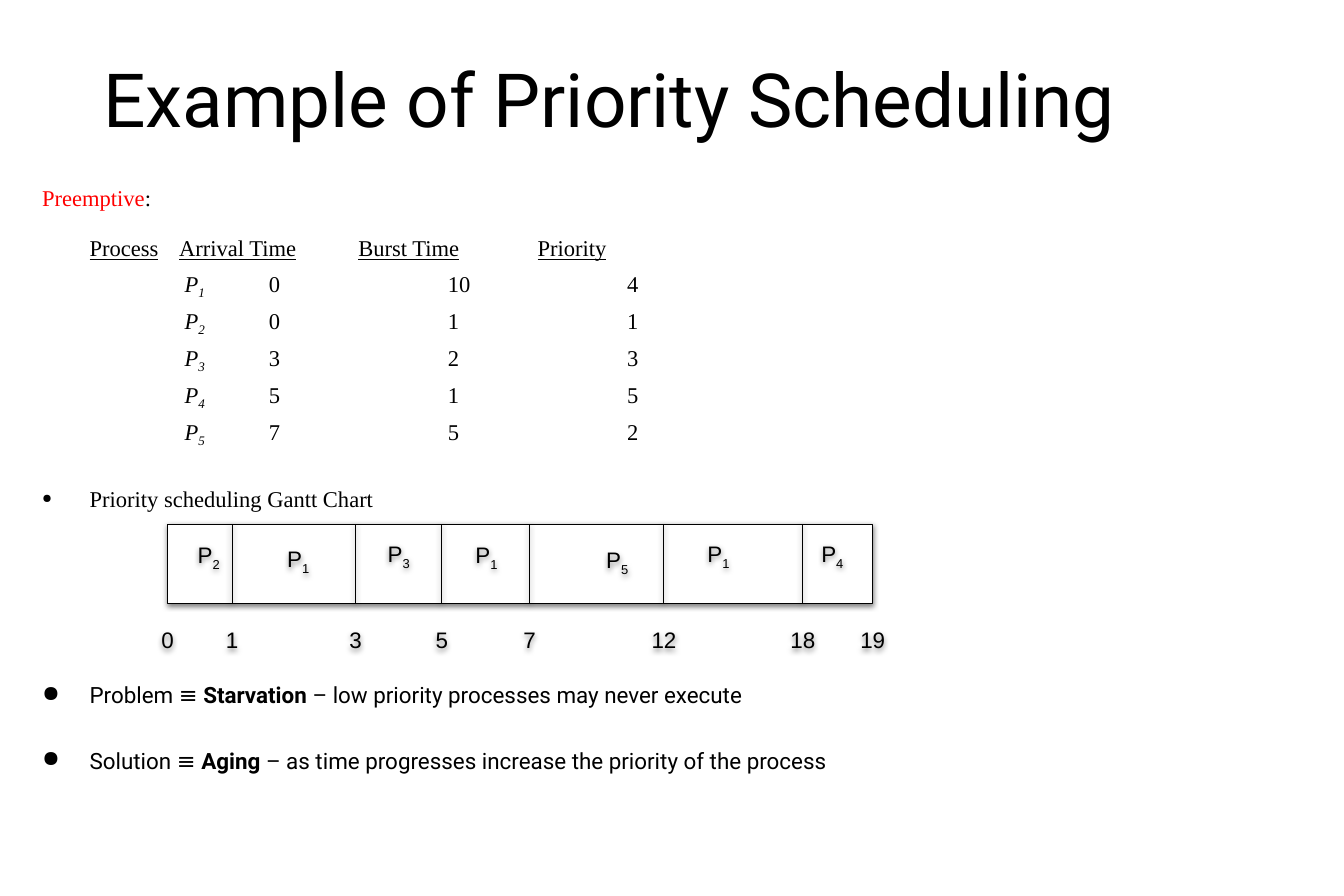
from lxml import etree
from pptx import Presentation
from pptx.dml.color import RGBColor
from pptx.enum.shapes import MSO_CONNECTOR, MSO_SHAPE
from pptx.enum.text import MSO_ANCHOR, MSO_AUTO_SIZE, PP_ALIGN
from pptx.oxml.ns import qn
from pptx.util import Inches, Pt

RECTANGLE, STRAIGHT = MSO_SHAPE.RECTANGLE, MSO_CONNECTOR.STRAIGHT
TOP, MIDDLE, BOTTOM = MSO_ANCHOR.TOP, MSO_ANCHOR.MIDDLE, MSO_ANCHOR.BOTTOM
LEFT, CENTER = PP_ALIGN.LEFT, PP_ALIGN.CENTER
BLACK, WHITE, RED = "000000", "FFFFFF", "FF0000"
SERIF, SANS, LABEL = "Times New Roman", "Roboto", "Arial"
HANGING = 0.53  # bullet indent, inches

HEADINGS = ["Process", "Arrival Time", "Burst Time", "Priority"]
HEADING_STOPS = [0.53, 1.53, 3.53, 5.53]
VALUE_STOPS = [1.59, 2.53, 4.53, 6.53]
PROCESSES = [("1", 0, 10, 4), ("2", 0, 1, 1), ("3", 3, 2, 3),
             ("4", 5, 1, 5), ("5", 7, 5, 2)]

# Gantt chart, inches from its left edge: time marks, then process labels
TIME_MARKS = [(0, 0), (1, 0.72), (3, 2.1), (5, 3.06), (7, 4.04),
              (12, 5.54), (18, 7.09), (19, 7.87)]
BAR_LABELS = [("2", 0.46, 0.36), ("1", 1.46, 0.41), ("3", 2.58, 0.35),
              ("1", 3.56, 0.36), ("5", 5.02, 0.42), ("1", 6.15, 0.35),
              ("4", 7.42, 0.35)]


def color(value):
    return RGBColor.from_string(value)


def add_xml(parent, tag, **attributes):
    return etree.SubElement(parent, qn(tag), attributes)


def add_shadow(shape):
    effects = add_xml(shape._element.spPr, "a:effectLst")
    shadow = add_xml(effects, "a:outerShdw", blurRad=str(Pt(4.5)), dist=str(Pt(1.5)),
                     dir="5400000", algn="ctr", rotWithShape="0")
    tint = add_xml(shadow, "a:srgbClr", val=BLACK)
    add_xml(tint, "a:alpha", val="49000")


def set_line(shape):
    shape.line.color.rgb = color(BLACK)
    shape.line.width = Pt(0.75)


def set_frame(frame, anchor, side, edge):
    frame.word_wrap = True
    frame.auto_size = MSO_AUTO_SIZE.NONE
    frame.vertical_anchor = anchor
    frame.margin_left = frame.margin_right = Inches(side)
    frame.margin_top = frame.margin_bottom = Inches(edge)


def add_text_box(shapes, box, anchor=TOP, side=0.14, edge=0.07):
    shape = shapes.add_textbox(*map(Inches, box))
    set_frame(shape.text_frame, anchor, side, edge)
    return shape


def next_paragraph(frame):
    first = frame.paragraphs[0]
    return frame.add_paragraph() if first.runs else first


def style_paragraph(paragraph, font, size, spacing=1.0, before=0):
    paragraph.line_spacing = spacing
    paragraph.space_before = Pt(before)
    paragraph.font.name = font
    paragraph.font.size = Pt(size)
    paragraph.font.color.rgb = color(BLACK)


def add_run(paragraph, text):
    run = paragraph.add_run()
    run.text = text
    return run


def add_process_name(paragraph, number, italic=None):
    add_run(paragraph, "P").font.italic = italic
    subscript = add_run(paragraph, number)
    subscript.font.italic = italic
    subscript._r.get_or_add_rPr().set("baseline", "-25000")


def set_bullet(paragraph, percent=100):
    properties = paragraph._p.get_or_add_pPr()
    properties.set("marL", str(Inches(HANGING)))
    properties.set("indent", str(-Inches(HANGING)))
    add_xml(add_xml(properties, "a:buClr"), "a:srgbClr", val=BLACK)
    add_xml(properties, "a:buSzPct", val=str(percent * 1000))
    add_xml(properties, "a:buChar", char="●")


def set_tab_stops(paragraph, stops):
    stop_list = add_xml(paragraph._p.get_or_add_pPr(), "a:tabLst")
    for stop in stops:
        add_xml(stop_list, "a:tab", pos=str(Inches(stop)), algn="l")


def place_title(slide, box):
    title = slide.shapes.title
    title.left, title.top, title.width, title.height = map(Inches, box)
    set_frame(title.text_frame, BOTTOM, 0.14, 0.07)
    paragraph = title.text_frame.paragraphs[0]
    add_run(paragraph, "Example of Priority Scheduling")
    paragraph.alignment = LEFT
    style_paragraph(paragraph, SANS, 60)


def add_process_list(slide, box):
    frame = add_text_box(slide.shapes, box).text_frame

    intro = next_paragraph(frame)
    style_paragraph(intro, SERIF, 18.1, 0.95)
    add_run(intro, "Preemptive").font.color.rgb = color(RED)
    add_run(intro, ":")

    # Column headings and one line per process, aligned on tab stops
    header = next_paragraph(frame)
    set_tab_stops(header, HEADING_STOPS)
    style_paragraph(header, SERIF, 18.1, 0.95, 20)
    for heading in HEADINGS:
        add_run(header, "\t")
        add_run(header, heading).font.underline = True
    for number, *values in PROCESSES:
        row = next_paragraph(frame)
        set_tab_stops(row, VALUE_STOPS)
        style_paragraph(row, SERIF, 18.1, 0.95, 6.3)
        add_run(row, "\t")
        add_process_name(row, number, italic=True)
        add_run(row, "".join(f"\t{value}" for value in values))

    caption = next_paragraph(frame)
    set_bullet(caption, 56)
    style_paragraph(caption, SERIF, 18.1, 0.95, 32.4)
    add_run(caption, "Priority scheduling Gantt Chart")


def add_gantt_label(shapes, center, top, width):
    box = (center - width / 2, top, width, 0.4)
    shape = add_text_box(shapes, box, MIDDLE, 0.1, 0.05)
    shape.text_frame.word_wrap = False
    add_shadow(shape)
    paragraph = shape.text_frame.paragraphs[0]
    paragraph.alignment = CENTER
    style_paragraph(paragraph, LABEL, 18)
    return paragraph


def add_gantt_chart(slide, box):
    left, top, width, height = box
    shapes = slide.shapes.add_group_shape().shapes

    bar = shapes.add_shape(RECTANGLE, *map(Inches, box))
    bar.fill.solid()
    bar.fill.fore_color.rgb = color(WHITE)
    set_line(bar)
    add_shadow(bar)

    # Dividers between the time slices
    for _, offset in TIME_MARKS[1:-1]:
        x = left + offset
        divider = shapes.add_connector(
            STRAIGHT, *map(Inches, (x, top, x, top + height)))
        set_line(divider)
        add_shadow(divider)

    # Process names and time marks
    for number, offset, center in BAR_LABELS:
        label = add_gantt_label(shapes, left + offset, top + center - 0.2, 0.46)
        add_process_name(label, number)
    for time, offset in TIME_MARKS:
        label = add_gantt_label(shapes, left + offset, top + height + 0.2, 0.48)
        add_run(label, str(time))


def add_conclusions(slide, box):
    frame = add_text_box(slide.shapes, box).text_frame
    conclusions = [
        ("Problem ≡ ", "Starvation ", "– low priority processes may never execute", 0),
        ("Solution ≡ ", "Aging ",
         "– as time progresses increase the priority of the process", 28),
    ]
    for opening, term, explanation, before in conclusions:
        paragraph = next_paragraph(frame)
        set_bullet(paragraph)
        style_paragraph(paragraph, SANS, 18, 1.15, before)
        add_run(paragraph, opening)
        add_run(paragraph, term).font.bold = True
        add_run(paragraph, explanation)


def main():
    presentation = Presentation()
    presentation.slide_width, presentation.slide_height = Inches(15), Inches(10)
    slide = presentation.slides.add_slide(presentation.slide_layouts[5])
    place_title(slide, (1.01, 0.4, 13.24, 1.26))
    add_process_list(slide, (0.33, 2, 8.4, 3.69))
    add_conclusions(slide, (0.33, 7.49, 12.33, 1.91))
    add_gantt_chart(slide, (1.87, 5.85, 7.87, 0.89))
    presentation.save("out.pptx")


if __name__ == "__main__":
    main()
